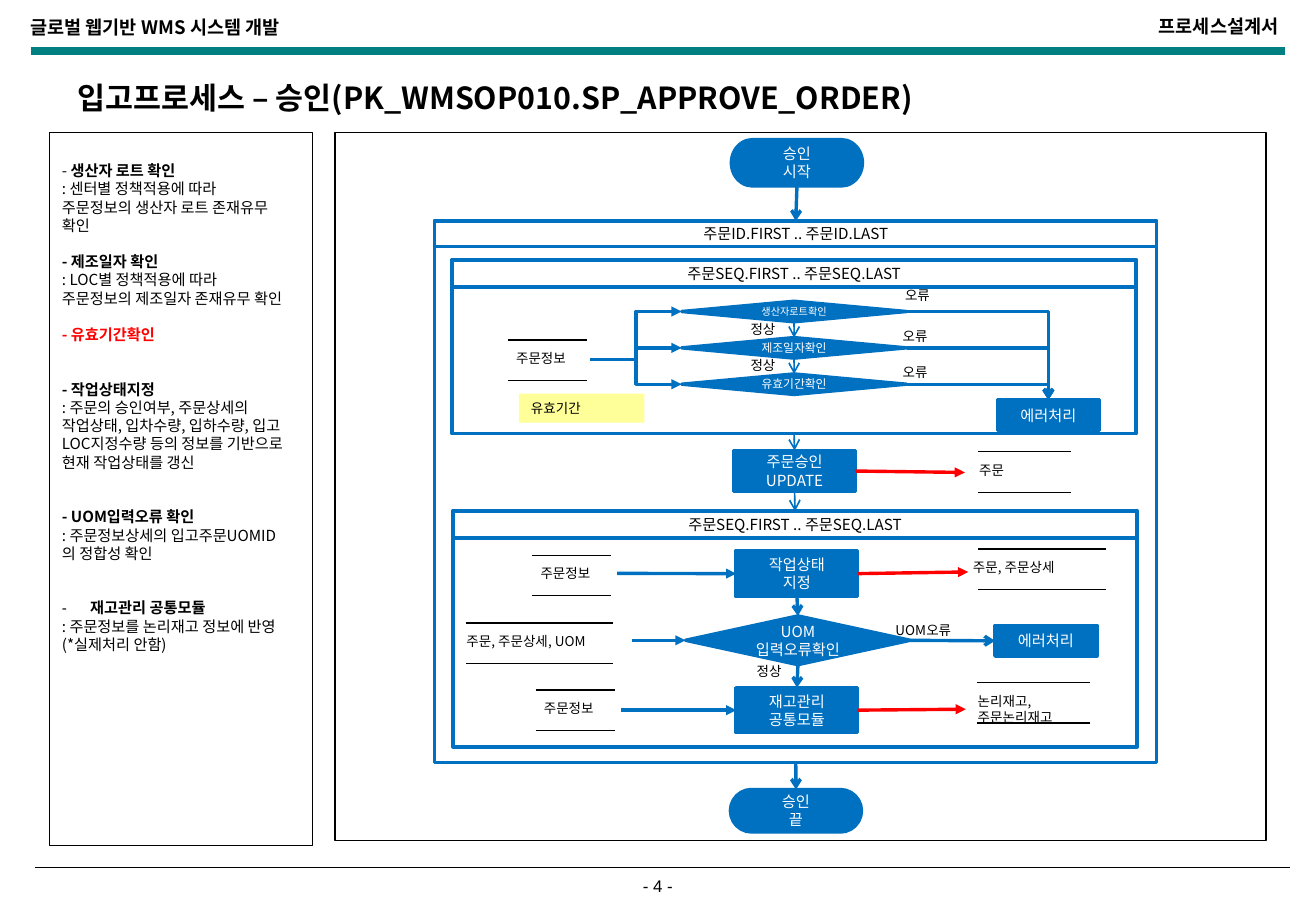
import pptx
import pptx.util
import pptx.dml.color
import pptx.enum.shapes
import pptx.enum.text
import pptx.oxml
import pptx.oxml.ns
from lxml import etree

Cm, Pt = pptx.util.Cm, pptx.util.Pt
SHAPE = pptx.enum.shapes.MSO_SHAPE
CONNECTOR = pptx.enum.shapes.MSO_CONNECTOR
ALIGN = pptx.enum.text.PP_ALIGN
ANCHOR = pptx.enum.text.MSO_ANCHOR
qn = pptx.oxml.ns.qn
KOREAN = "Noto Sans CJK KR"
COLORS = {"black": "000000", "white": "FFFFFF", "blue": "0070C0", "red": "FF0000",
          "teal": "008080", "yellow": "FFFF99"}
TOP, LEFT, BOTTOM, RIGHT = range(4)

TITLE = "입고프로세스 – 승인(PK_WMSOP010.SP_APPROVE_ORDER)"
STEPS = [
    (0, "생산자 로트 확인", "black", ": 센터별 정책적용에 따라 주문정보의 생산자 로트 존재유무 확인"),
    (1, "- 제조일자 확인", "black", ": LOC별 정책적용에 따라 주문정보의 제조일자 존재유무 확인"),
    (1, "- 유효기간확인", "red", ""),
    (2, "- 작업상태지정", "black", ": 주문의 승인여부, 주문상세의 작업상태, 입차수량, 입하수량, "
     "입고LOC지정수량 등의 정보를 기반으로 현재 작업상태를 갱신"),
    (2, "- UOM입력오류 확인", "black", ": 주문정보상세의 입고주문UOMID 의 정합성 확인"),
    (2, "재고관리 공통모듈", "black", ": 주문정보를 논리재고 정보에 반영 (*실제처리 안함)"),
]
LOOPS = {
    "order": ("주문ID.FIRST .. 주문ID.LAST", (9.09, 4.62, 15.09, 11.33), 0.53),
    "check": ("주문SEQ.FIRST .. 주문SEQ.LAST", (9.45, 5.44, 14.3, 3.63), 0.56),
    "process": ("주문SEQ.FIRST .. 주문SEQ.LAST", (9.47, 10.69, 14.3, 4.93), 0.56),
}
NODES = {
    "start": (SHAPE.FLOWCHART_TERMINATOR, ["승인", "시작"], (15.29, 2.92, 2.74, 0.97), 9),
    "end": (SHAPE.FLOWCHART_TERMINATOR, ["승인", "끝"], (15.27, 16.51, 2.74, 0.89), 9),
    "update": (SHAPE.FLOWCHART_PROCESS, ["주문승인", "UPDATE"], (15.34, 9.42, 2.54, 0.86), 9),
    "status": (SHAPE.FLOWCHART_PROCESS, ["작업상태", "지정"], (15.39, 11.51, 2.54, 0.97), 9),
    "uom": (SHAPE.FLOWCHART_DECISION, ["UOM입력오류확인"], (14.33, 12.88, 4.7, 1.02), 9),
    "stock": (SHAPE.FLOWCHART_PROCESS, ["재고관리", "공통모듈"], (15.39, 14.38, 2.54, 0.94), 9),
    "check error": (SHAPE.FLOWCHART_PROCESS, ["에러처리"], (20.85, 8.36, 2.13, 0.64), 9),
    "uom error": (SHAPE.FLOWCHART_PROCESS, ["에러처리"], (20.8, 13.08, 2.13, 0.64), 9),
}
CHECKS = [("생산자로트확인", 6), ("제조일자확인", 7), ("유효기간확인", 7)]
for row, (check, size) in enumerate(CHECKS):
    NODES[check] = (SHAPE.FLOWCHART_DECISION, [check], (14.25, 6.3 + 0.76 * row, 4.7, 0.43), size)

STORES = [
    (["주문"], 20.45, 9.45, 1.93, -0.23, 1.93),
    (["주문정보"], 10.62, 7.11, 1.65, -0.08, 1.85),
    (["주문정보"], 11.13, 11.61, 1.65, -0.08, 1.85),
    (["주문정보"], 11.2, 14.43, 1.65, -0.08, 1.85),
    (["주문, 주문상세, UOM"], 9.75, 13.03, 3.07, -0.25, 3.68),
    (["논리재고,", "주문논리재고"], 20.42, 14.27, 2.36, -0.23, 2.92),
    (["주문, 주문상세"], 20.45, 11.48, 2.67, -0.36, 2.69),
]
LABELS = [
    ("UOM오류", 18.47, 12.88, 2.79), ("정상", 15.57, 13.74, 2.79),
    ("정상", 15.44, 6.58, 1.35), ("정상", 15.44, 7.34, 1.35),
    ("오류", 18.67, 5.87, 1.35), ("오류", 18.62, 6.73, 1.35), ("오류", 18.62, 7.49, 1.35),
]
ARROWS = [
    (("start", BOTTOM), ("order", TOP), "blue", 2, "arrow"),
    (("check", BOTTOM), ("update", TOP), "blue", 1, "arrow"),
    (("update", BOTTOM), ("process", TOP), "blue", 1, "arrow"),
    (("status", BOTTOM), ("uom", TOP), "blue", 2, "arrow"),
    (("uom", BOTTOM), ("stock", TOP), "blue", 2, "arrow"),
    (("order", BOTTOM), ("end", TOP), "blue", 2, "arrow"),
    (("uom", RIGHT), ("uom error", LEFT), "blue", 2, "arrow"),
    ((12.9, 11.99), ("status", LEFT), "blue", 2, "triangle"),
    ((13.21, 13.39), ("uom", LEFT), "blue", 2, "triangle"),
    ((12.98, 14.85), ("stock", LEFT), "blue", 2, "triangle"),
    (("update", RIGHT), (20.17, 9.88), "red", 2, "triangle"),
    (("status", RIGHT), (20.24, 11.96), "red", 2, "triangle"),
    (("stock", RIGHT), (20.19, 14.83), "red", 2, "triangle"),
] + [((above, BOTTOM), (below, TOP), "blue", 1, "arrow")
     for (above, _), (below, _) in zip(CHECKS, CHECKS[1:])]
ORDER_INFO_EXIT = (12.34, 7.52)

deck = pptx.Presentation()
deck.slide_width, deck.slide_height = Cm(27.51), Cm(19.05)
slide = deck.slides.add_slide(deck.slide_layouts[1])
shapes = slide.shapes
placed = {}


def rgb(color):
    return pptx.dml.color.RGBColor.from_string(COLORS[color])


def style(paragraph, size, color="black", bold=False, align=ALIGN.LEFT, font=KOREAN, before=0):
    paragraph.alignment = align
    paragraph.line_spacing = Pt(round(size * 1.2, 1))
    paragraph.space_before = Pt(before)
    paragraph.font.size, paragraph.font.bold, paragraph.font.name = Pt(size), bold, font
    paragraph.font.color.rgb = rgb(color)
    properties = paragraph._p.pPr.find(qn("a:defRPr"))
    etree.SubElement(properties, qn("a:ea")).set("typeface", font)


def write(holder, lines, size, **look):
    frame = holder.text_frame
    frame.word_wrap = True
    frame.text = "\n".join(lines)
    for paragraph in frame.paragraphs:
        style(paragraph, size, **look)


def add_text(lines, box, size, **look):
    write(shapes.add_textbox(*map(Cm, box)), lines, size, **look)


def add_box(kind, box, fill=None, line=None, width=2, lines=(), size=9, color="black",
            align=ALIGN.CENTER):
    shape = shapes.add_shape(kind, *map(Cm, box))
    shape.shadow.inherit = False
    if fill:
        shape.fill.solid()
        shape.fill.fore_color.rgb = rgb(fill)
    else:
        shape.fill.background()
    if line:
        shape.line.color.rgb = rgb(line)
        shape.line.width = Pt(width)
    else:
        shape.line.fill.background()
    if lines:
        write(shape, lines, size, color=color, align=align)
        shape.text_frame.vertical_anchor = ANCHOR.MIDDLE
    return shape


def point(end):
    if end[0] not in placed:
        return Cm(end[0]), Cm(end[1])
    node, side = placed[end[0]], end[1]
    across = {LEFT: 0, RIGHT: node.width}.get(side, node.width // 2)
    down = {TOP: 0, BOTTOM: node.height}.get(side, node.height // 2)
    return node.left + across, node.top + down


def connect(start, finish, color, width, head=None, bend=None):
    kind = CONNECTOR.ELBOW if bend else CONNECTOR.STRAIGHT
    link = shapes.add_connector(kind, *point(start), *point(finish))
    link.line.color.rgb = rgb(color)
    link.line.width = Pt(width)
    properties = link._element.spPr
    if head:
        etree.SubElement(properties.find(qn("a:ln")), qn("a:tailEnd")).set("type", head)
    etree.SubElement(properties, qn("a:effectLst"))
    if bend:
        properties.find(qn("a:prstGeom")).set("prst", bend)
        return
    if start[0] in placed:
        link.begin_connect(placed[start[0]], start[1])
    if finish[0] in placed:
        link.end_connect(placed[finish[0]], finish[1])


def place(holder, box):
    holder.left, holder.top, holder.width, holder.height = map(Cm, box)
    holder.text_frame.auto_size = pptx.enum.text.MSO_AUTO_SIZE.NONE


def set_bullet(paragraph, char=None):
    properties = paragraph._p.get_or_add_pPr()
    properties.set("marL", str(Cm(0.59) if char else 0))
    properties.set("indent", str(-Cm(0.59) if char else 0))
    bullet = etree.SubElement(properties, qn("a:buChar" if char else "a:buNone"))
    if char:
        bullet.set("char", char)


add_box(SHAPE.RECTANGLE, (7.01, 2.77, 19.46, 14.81), line="black", width=1)
description = add_box(SHAPE.RECTANGLE, (1.04, 2.77, 5.49, 14.91), "white", "black", 0.75)
steps = slide.placeholders[1]
steps._element.addprevious(description._element)

place(shapes.title, (1.37, 1.02, 24.77, 1.37))
write(shapes.title, [TITLE], 18, bold=True)
shapes.title.text_frame.paragraphs[0].line_spacing = 1.85
shapes.title.text_frame.vertical_anchor = ANCHOR.MIDDLE

place(steps, (1.04, 3.25, 5.26, 14.02))
paragraph = steps.text_frame.paragraphs[0]
for index, (gap, heading, color, detail) in enumerate(STEPS):
    if index:
        paragraph = steps.text_frame.add_paragraph()
    else:
        dash = paragraph.add_run()
        dash.text, dash.font.bold = "- ", False
    paragraph.add_run().text = heading
    set_bullet(paragraph, "-" if index == len(STEPS) - 1 else None)
    style(paragraph, 9, color, bold=True, before=gap * 10.8)
    if detail:
        paragraph = steps.text_frame.add_paragraph()
        paragraph.text = detail
        set_bullet(paragraph)
        style(paragraph, 9)

add_text(["글로벌 웹기반 WMS 시스템 개발"], (0.38, 0.2, 13.36, 0.94), 11, bold=True)
add_text(["프로세스설계서"], (18.01, 0.18, 8.97, 0.94), 11, bold=True, align=ALIGN.RIGHT)
add_text(["- 4 -"], (12.57, 18.19, 2.36, 0.69), 10, align=ALIGN.CENTER, font="Arial")
connect((0.64, 1.07), (26.87, 1.07), "teal", 4.5)
connect((0.74, 18.14), (26.97, 18.14), "black", 1)

for name, (heading, box, height) in LOOPS.items():
    placed[name] = add_box(SHAPE.FLOWCHART_PROCESS, box, line="blue")
    add_box(SHAPE.FLOWCHART_PROCESS, (*box[:3], height), line="blue", lines=[heading])
for name, (kind, lines, box, size) in NODES.items():
    placed[name] = add_box(kind, box, "blue", "blue", lines=lines, size=size, color="white")
for lines, left, top, width, shift, text_width in STORES:
    add_text(lines, (left + shift, top + 0.09, text_width, 0.61), 8)
    for y in (top, top + 0.85):
        connect((left, y), (left + width, y), "black", 0.75)
add_box(SHAPE.RECTANGLE, (10.85, 8.23, 2.62, 0.61), "yellow", lines=["유효기간"], size=8,
        align=ALIGN.LEFT)
for arrow in ARROWS:
    connect(*arrow)
for check, _ in CHECKS:
    connect(ORDER_INFO_EXIT, (check, LEFT), "blue", 2, "triangle", "bentConnector3")
    connect((check, RIGHT), ("check error", TOP), "blue", 2, "arrow", "bentConnector2")
for label, left, top, width in LABELS:
    add_text([label], (left, top, width, 0.61), 8)

deck.save("out.pptx")
